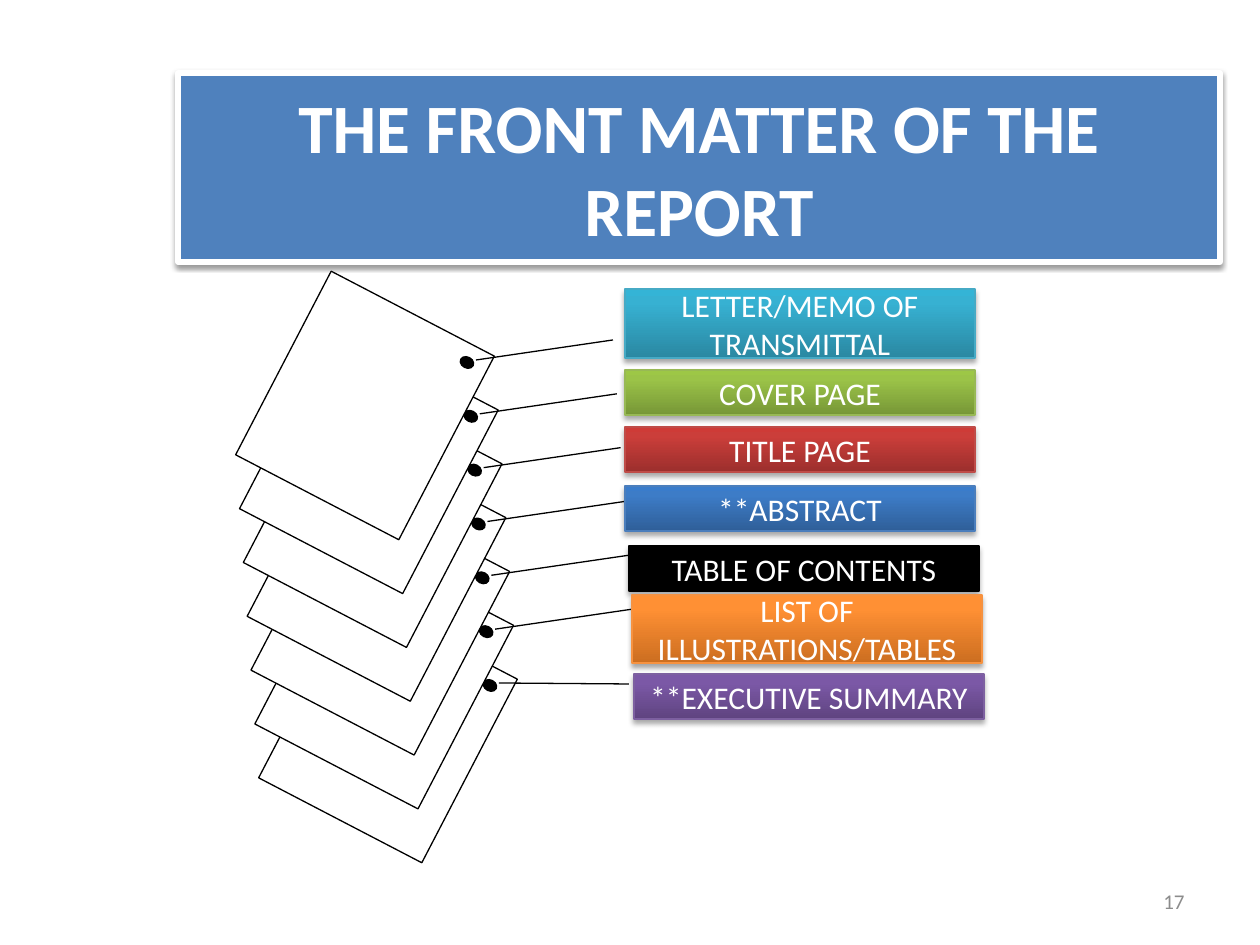
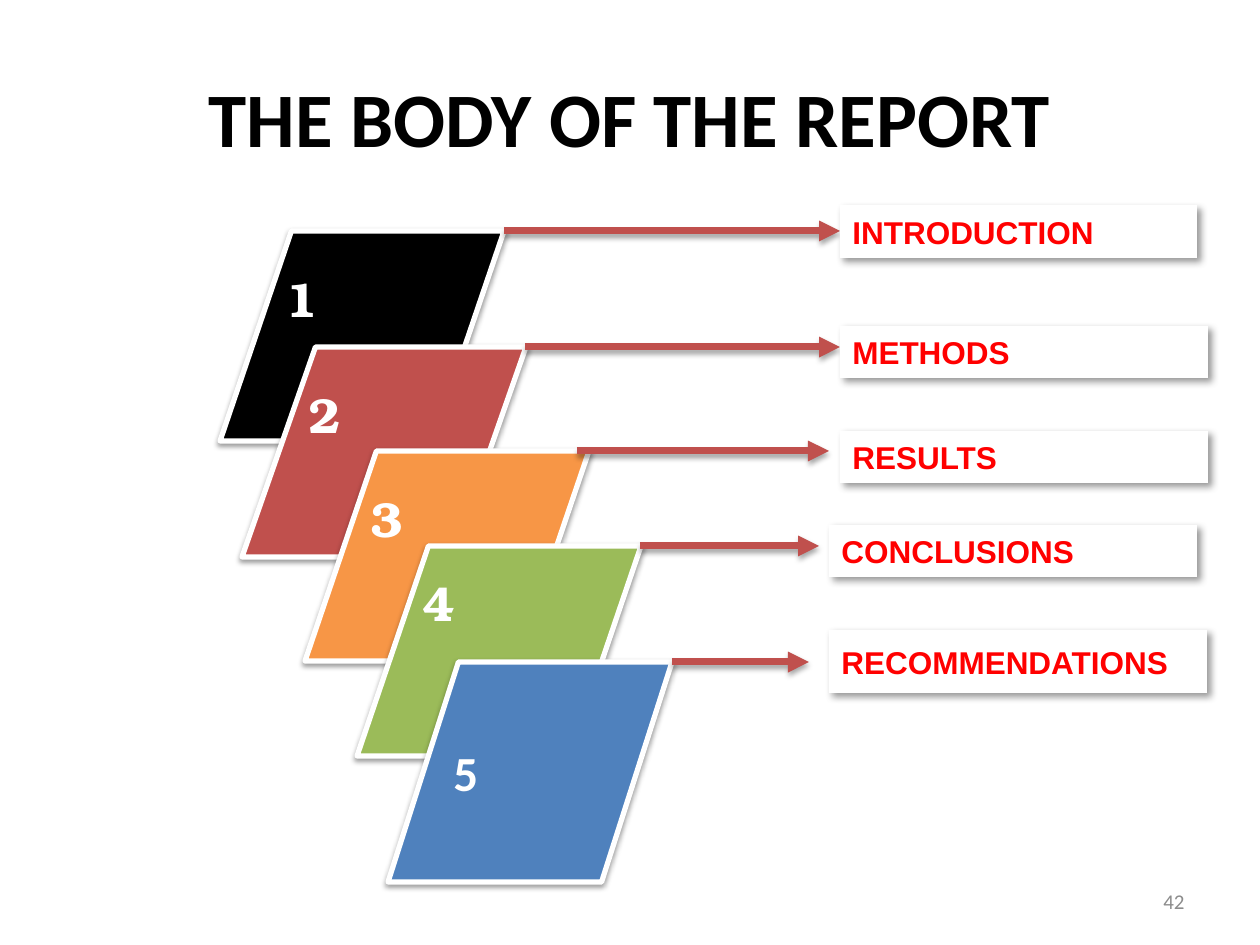
from copy import deepcopy

from lxml.etree import SubElement
from pptx import Presentation
from pptx.dml.color import RGBColor
from pptx.enum.shapes import MSO_CONNECTOR, MSO_SHAPE as SHAPE
from pptx.enum.text import MSO_ANCHOR, PP_ALIGN as ALIGN
from pptx.oxml.ns import qn
from pptx.util import Emu, Pt

PX = 914400 / 126

BLACK = RGBColor(0x00, 0x00, 0x00)
WHITE = RGBColor(0xFF, 0xFF, 0xFF)
GREY = RGBColor(0x8C, 0x8C, 0x8C)
RED = RGBColor(0xFF, 0x00, 0x00)
BLUE = RGBColor(0x4F, 0x81, 0xBD)
BRICK = RGBColor(0xC0, 0x50, 0x4D)
ORANGE = RGBColor(0xF7, 0x96, 0x46)
GREEN = RGBColor(0x9B, 0xBB, 0x59)

# Gradient colours from bottom to top, then the outline
TEAL_GLOSS = [RGBColor(0x2A, 0x88, 0xA2), RGBColor(0x37, 0xB1, 0xD2),
              RGBColor(0x34, 0xB4, 0xD6), RGBColor(0x46, 0xAA, 0xC5)]
GREEN_GLOSS = [RGBColor(0x77, 0x97, 0x37), RGBColor(0x9B, 0xC3, 0x48),
               RGBColor(0x9D, 0xC7, 0x46), RGBColor(0x98, 0xB9, 0x55)]
RED_GLOSS = [RGBColor(0x9C, 0x2F, 0x2D), RGBColor(0xCB, 0x3E, 0x3A),
             RGBColor(0xCE, 0x3B, 0x37), RGBColor(0xBF, 0x4C, 0x48)]
BLUE_GLOSS = [RGBColor(0x2F, 0x5F, 0x99), RGBColor(0x3D, 0x7C, 0xC7),
              RGBColor(0x3A, 0x7C, 0xCB), RGBColor(0x4B, 0x7E, 0xBC)]
ORANGE_GLOSS = [RGBColor(0xCC, 0x6E, 0x20), RGBColor(0xFF, 0x90, 0x34),
                RGBColor(0xFF, 0x91, 0x36), RGBColor(0xF6, 0x92, 0x40)]
PURPLE_GLOSS = [RGBColor(0x5F, 0x44, 0x80), RGBColor(0x7B, 0x58, 0xA6),
                RGBColor(0x7C, 0x57, 0xA8), RGBColor(0x7D, 0x60, 0xA0)]
GLOSS_STOPS = (0, 0.8, 1)

# Shadows: opacity in %, blur and distance in points, direction in degrees
CARD_SHADOW = (38, 3.1, 1.6, 90)
LABEL_SHADOW = (35, 3.1, 1.8, 90)
TAG_SHADOW = (40, 4, 3, 45)

# Text, left, top, height, colours
FRONT_LABELS = [
    ("LETTER/MEMO OF TRANSMITTAL", 625, 289, 69, TEAL_GLOSS),
    ("COVER PAGE", 625, 370, 45, GREEN_GLOSS),
    ("TITLE PAGE", 625, 427, 45, RED_GLOSS),
    ("**ABSTRACT", 625, 486, 45, BLUE_GLOSS),
    ("TABLE OF CONTENTS", 629, 546, 45, None),
    ("LIST OF ILLUSTRATIONS/TABLES", 632, 595, 68, ORANGE_GLOSS),
    ("**EXECUTIVE SUMMARY", 634, 674, 45, PURPLE_GLOSS),
]
LABEL_W = 350
SHEET, DOT = (273, 302, 184, 207), (460, 357, 14, 11)
LEADER_START, LEADER_RUN, LAST_LEADER_RUN = (476, 360), (137, -20), (130, 1)
STACK_SPAN = (23, 323)
TILT = 27.5

# Left, top, height, slant, colour, font, space under the number
BODY_CARDS = [
    (220, 231, 210, 0.34, BLACK, "TeX Gyre Bonum", 77),
    (242, 347, 210, 0.35, BRICK, "TeX Gyre Bonum", 77),
    (305, 451, 210, 0.34, ORANGE, "TeX Gyre Bonum", 77),
    (357, 546, 210, 0.34, GREEN, "TeX Gyre Bonum", 98),
    (388, 662, 220, 0.32, BLUE, "Calibri", 0),
]
CARD_W = 284
# Text, box, start and end of the arrow
BODY_TAGS = [
    ("INTRODUCTION", (840, 205, 357, 53), 504, 840),
    ("METHODS", (840, 326, 368, 52), 525, 840),
    ("RESULTS", (840, 431, 368, 52), 577, 829),
    ("CONCLUSIONS", (829, 525, 368, 52), 640, 819),
    ("RECOMMENDATIONS", (829, 630, 378, 63), 672, 809),
]


def px(n):
    return Emu(round(n * PX))


def write(sp, text, size, color, font="Calibri", bold=False,
          align=ALIGN.LEFT, wrap=True):
    tf = sp.text_frame
    tf.word_wrap = wrap
    tf.vertical_anchor = MSO_ANCHOR.MIDDLE
    p = tf.paragraphs[0]
    p.alignment = align
    r = p.add_run()
    r.text = text
    r.font.size, r.font.name, r.font.bold = Pt(size), font, bold
    r.font.color.rgb = color
    return tf


def add_effects(sp, shadow=None):
    """Replace the theme's effects by the given shadow, or by none."""
    effects = SubElement(sp._element.spPr, qn("a:effectLst"))
    if shadow:
        alpha, blur, dist, angle = shadow
        outer = SubElement(effects, qn("a:outerShdw"), blurRad=str(Pt(blur)),
                           dist=str(Pt(dist)), dir=str(angle * 60000),
                           rotWithShape="0")
        clr = SubElement(outer, qn("a:srgbClr"), val=str(BLACK))
        SubElement(clr, qn("a:alpha"), val=str(alpha * 1000))


def fill_gloss(sp, colors):
    sp.fill.gradient()
    sp.fill.gradient_angle = 90
    stops = sp._element.spPr.find(".//" + qn("a:gsLst"))
    stops.append(deepcopy(stops[-1]))
    for stop, pos, color in zip(sp.fill.gradient_stops, GLOSS_STOPS, colors):
        stop.position = pos
        stop.color.rgb = color


def add_box(shapes, kind, box, fill, line=None, width=0.75, shadow=None):
    sp = shapes.add_shape(kind, *map(px, box))
    if isinstance(fill, list):
        fill_gloss(sp, fill)
    else:
        sp.fill.solid()
        sp.fill.fore_color.rgb = fill
    if line is None:
        sp.line.fill.background()
    else:
        sp.line.color.rgb = line
        sp.line.width = Pt(width)
    add_effects(sp, shadow)
    return sp


def add_line(shapes, start, end, color, width, arrow=False, shadow=None):
    cx = shapes.add_connector(MSO_CONNECTOR.STRAIGHT, *map(px, start + end))
    cx.line.color.rgb = color
    cx.line.width = Pt(width)
    if arrow:
        SubElement(cx.line._get_or_add_ln(), qn("a:tailEnd"), type="triangle")
    add_effects(cx, shadow)


def add_slide(prs, number):
    shapes = prs.slides.add_slide(prs.slide_layouts[6]).shapes
    footer = shapes.add_textbox(*map(px, (903, 876, 294, 50)))
    write(footer, str(number), 12, GREY, align=ALIGN.RIGHT)
    return shapes


def write_title(sp, text, size, color):
    write(sp, text, size, color, bold=True, align=ALIGN.CENTER)


def add_sheet_stack(shapes, count):
    """Draw tilted sheets from the lowest up, each with a dot and a leader."""
    group = shapes.add_group_shape().shapes
    last = count - 1
    for i in reversed(range(count)):
        dx, dy = (span * i / last for span in STACK_SPAN)
        for kind, (x, y, w, h), fill in ((SHAPE.RECTANGLE, SHEET, WHITE),
                                         (SHAPE.OVAL, DOT, BLACK)):
            sp = add_box(group, kind, (x + dx, y + dy, w, h), fill, BLACK)
            sp.rotation = TILT
        x, y = LEADER_START[0] + dx, LEADER_START[1] + dy
        run_x, run_y = LAST_LEADER_RUN if i == last else LEADER_RUN
        add_line(group, (x, y), (x + run_x, y + run_y), BLACK, 0.75)


def build_front_matter(prs):
    shapes = add_slide(prs, 17)
    band = add_box(shapes, SHAPE.RECTANGLE, (178, 73, 1042, 189), BLUE,
                   WHITE, 3, CARD_SHADOW)
    write_title(band, "THE FRONT MATTER OF THE REPORT", 39.6, WHITE)
    add_sheet_stack(shapes, len(FRONT_LABELS))
    for text, x, y, h, gloss in FRONT_LABELS:
        sp = add_box(shapes, SHAPE.RECTANGLE, (x, y, LABEL_W, h),
                     gloss or BLACK, gloss[-1] if gloss else BLACK,
                     shadow=LABEL_SHADOW)
        write(sp, text, 18, WHITE, align=ALIGN.CENTER)


def build_body(prs):
    shapes = add_slide(prs, 42)
    title = shapes.add_textbox(*map(px, (63, 38, 1134, 157)))
    write_title(title, "THE BODY OF THE REPORT", 44, BLACK)
    for number, (x, y, h, slant, color, font, under) in enumerate(BODY_CARDS, 1):
        sp = add_box(shapes, SHAPE.PARALLELOGRAM, (x, y, CARD_W, h), color,
                     WHITE, 3, CARD_SHADOW)
        sp.adjustments[0] = slant
        tf = write(sp, str(number), 28, WHITE, font, bold=True, wrap=False)
        tf.margin_bottom = px(6 + under)
    for (text, box, start, end), card in zip(BODY_TAGS, BODY_CARDS):
        y = card[1]
        add_line(shapes, (start, y), (end, y), BRICK, 4, True, LABEL_SHADOW)
        sp = add_box(shapes, SHAPE.RECTANGLE, box, WHITE, shadow=TAG_SHADOW)
        write(sp, text, 18, RED, "Arial", bold=True, wrap=False)


def main():
    prs = Presentation()
    prs.slide_width, prs.slide_height = px(1260), px(945)
    build_front_matter(prs)
    build_body(prs)
    prs.save("out.pptx")


if __name__ == "__main__":
    main()
